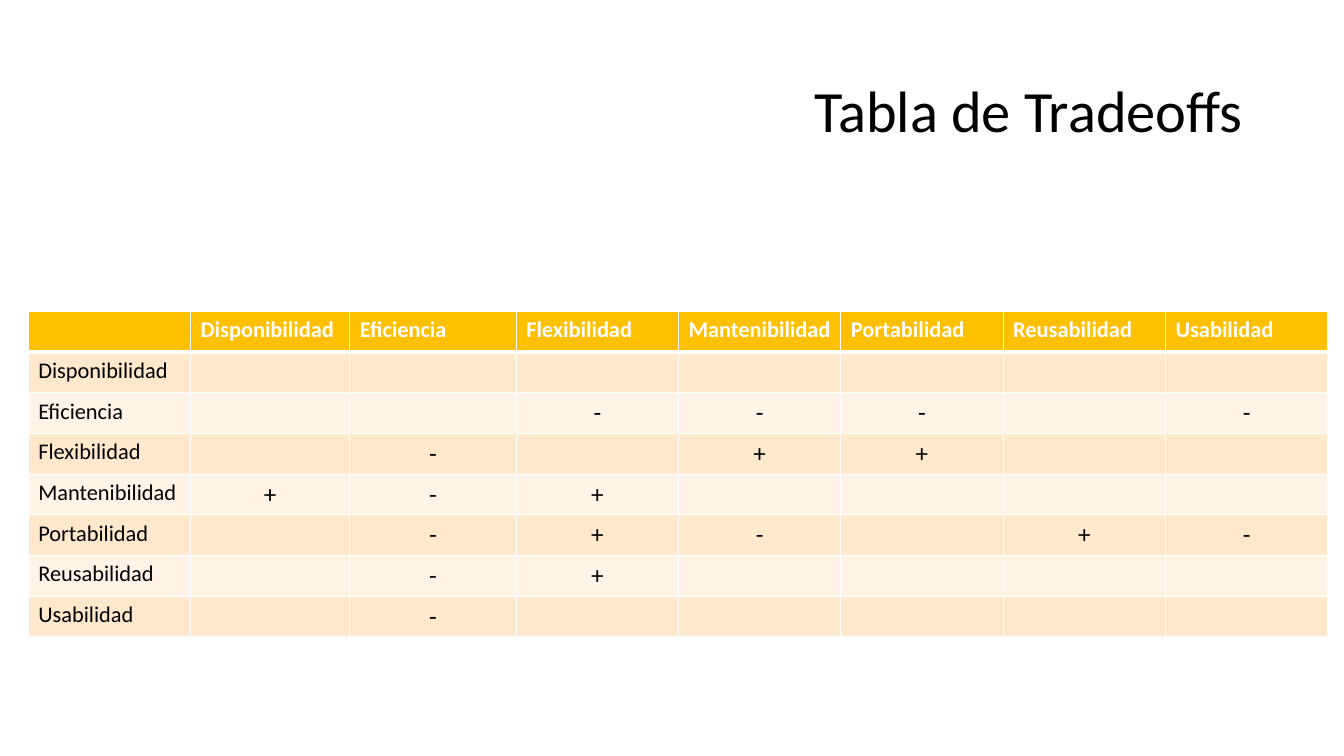
from lxml import etree
from pptx import Presentation
from pptx.dml.color import RGBColor
from pptx.enum.text import MSO_ANCHOR, PP_ALIGN
from pptx.oxml.ns import qn
from pptx.util import Inches, Pt

LEFT, CENTER, RIGHT = PP_ALIGN.LEFT, PP_ALIGN.CENTER, PP_ALIGN.RIGHT
MIDDLE = MSO_ANCHOR.MIDDLE

FONT = "Calibri"
BLACK = RGBColor(0x00, 0x00, 0x00)
WHITE = RGBColor(0xFF, 0xFF, 0xFF)
GOLD = RGBColor(0xFF, 0xC0, 0x00)
PEACH = RGBColor(0xFF, 0xE8, 0xCC)
CREAM = RGBColor(0xFF, 0xF4, 0xE7)

# Table grid, in inches
TABLE_LEFT, TABLE_TOP = 0.28, 3.09
COLUMN_WIDTHS = [1.61, 1.58, 1.65] + [1.61] * 5
ROW_HEIGHT = 3.23 / 8
THIN, THICK = Pt(1), Pt(3)

# One mark per quality column; a space leaves the cell empty
TRADEOFFS = {
    "Disponibilidad": "       ",
    "Eficiencia": "  --- -",
    "Flexibilidad": " - ++  ",
    "Mantenibilidad": "+-+    ",
    "Portabilidad": " -+- +-",
    "Reusabilidad": " -+    ",
    "Usabilidad": " -     ",
}


def write(text_frame, text, size, color, alignment=LEFT, bold=False):
    text_frame.text = text
    paragraph = text_frame.paragraphs[0]
    paragraph.alignment = alignment
    for run in paragraph.runs:
        font = run.font
        font.name, font.size, font.bold = FONT, Pt(size), bold
        font.color.rgb = color
    return paragraph


def add_title(slide, text):
    box = slide.shapes.add_textbox(Inches(0.92), Inches(0.4), Inches(11.5), Inches(1.45))
    box.text_frame.word_wrap = True
    box.text_frame.vertical_anchor = MIDDLE
    paragraph = write(box.text_frame, text, 41.7, BLACK, RIGHT)
    paragraph.line_spacing = 0.9


def set_borders(cell, top, bottom):
    properties = cell._tc.get_or_add_tcPr()
    widths = {"a:lnL": THIN, "a:lnR": THIN, "a:lnT": top, "a:lnB": bottom}
    for tag, width in widths.items():
        line = etree.SubElement(properties, qn(tag), w=str(width))
        fill = etree.SubElement(line, qn("a:solidFill"))
        etree.SubElement(fill, qn("a:srgbClr"), val=str(WHITE))


def style_cell(cell, row):
    # The thick rule lies between the header and the first body row
    set_borders(cell, THICK if row == 1 else THIN, THICK if row == 0 else THIN)
    cell.fill.solid()
    cell.fill.fore_color.rgb = GOLD if row == 0 else PEACH if row % 2 else CREAM


def fill_cell(cell, text, row, column):
    if row == 0:
        write(cell.text_frame, text, 16, WHITE, bold=True)
    elif column == 0:
        write(cell.text_frame, text, 16, BLACK)
    else:
        write(cell.text_frame, text, 18, BLACK, CENTER)


def add_tradeoff_table(slide):
    rows = [["", *TRADEOFFS]] + [[name, *marks] for name, marks in TRADEOFFS.items()]
    table = slide.shapes.add_table(
        len(rows), len(COLUMN_WIDTHS), Inches(TABLE_LEFT), Inches(TABLE_TOP),
        Inches(sum(COLUMN_WIDTHS)), Inches(ROW_HEIGHT * len(rows))).table
    for column, width in zip(table.columns, COLUMN_WIDTHS):
        column.width = Inches(width)
    for row, texts in enumerate(rows):
        table.rows[row].height = Inches(ROW_HEIGHT)
        for column, text in enumerate(texts):
            cell = table.cell(row, column)
            style_cell(cell, row)
            if text.strip():
                fill_cell(cell, text, row, column)


def main():
    presentation = Presentation()
    presentation.slide_width, presentation.slide_height = Inches(13.33), Inches(7.5)
    slide = presentation.slides.add_slide(presentation.slide_layouts[6])
    slide.background.fill.solid()
    slide.background.fill.fore_color.rgb = WHITE
    add_title(slide, "Tabla de Tradeoffs")
    add_tradeoff_table(slide)
    presentation.save("out.pptx")


if __name__ == "__main__":
    main()
